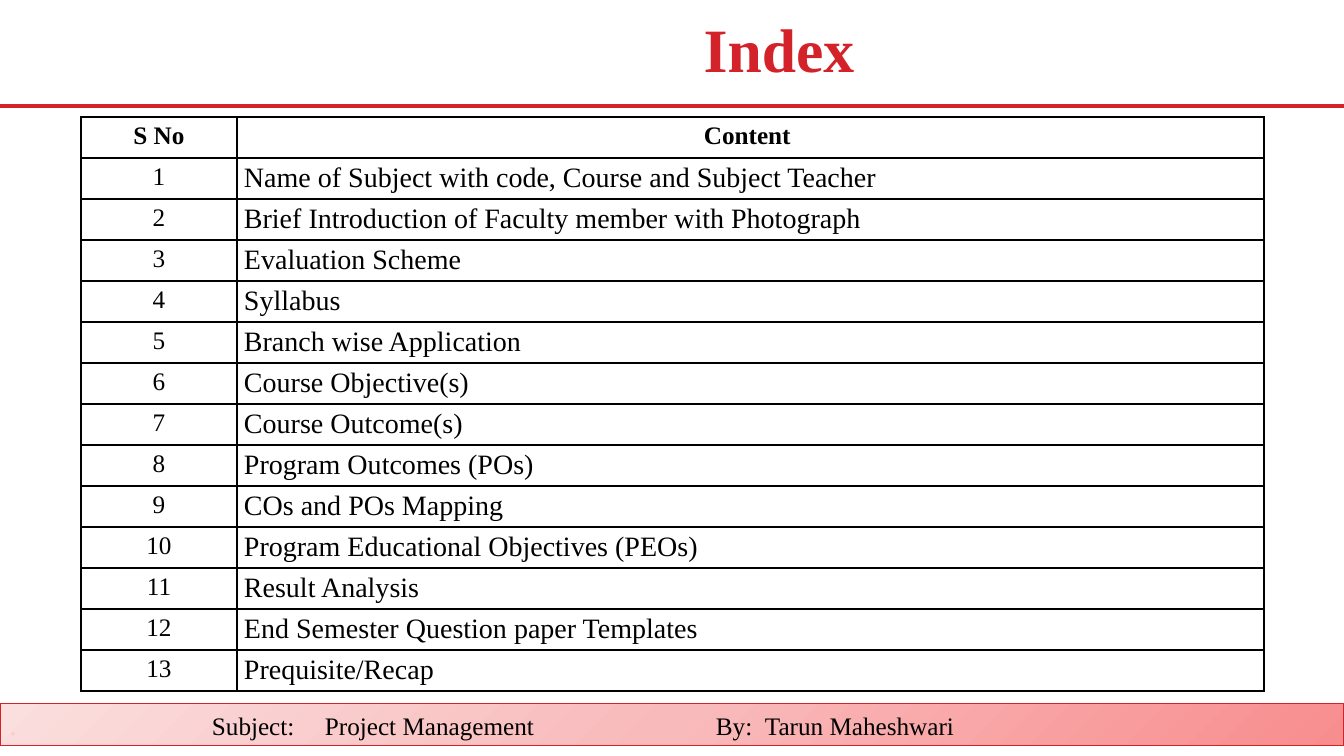
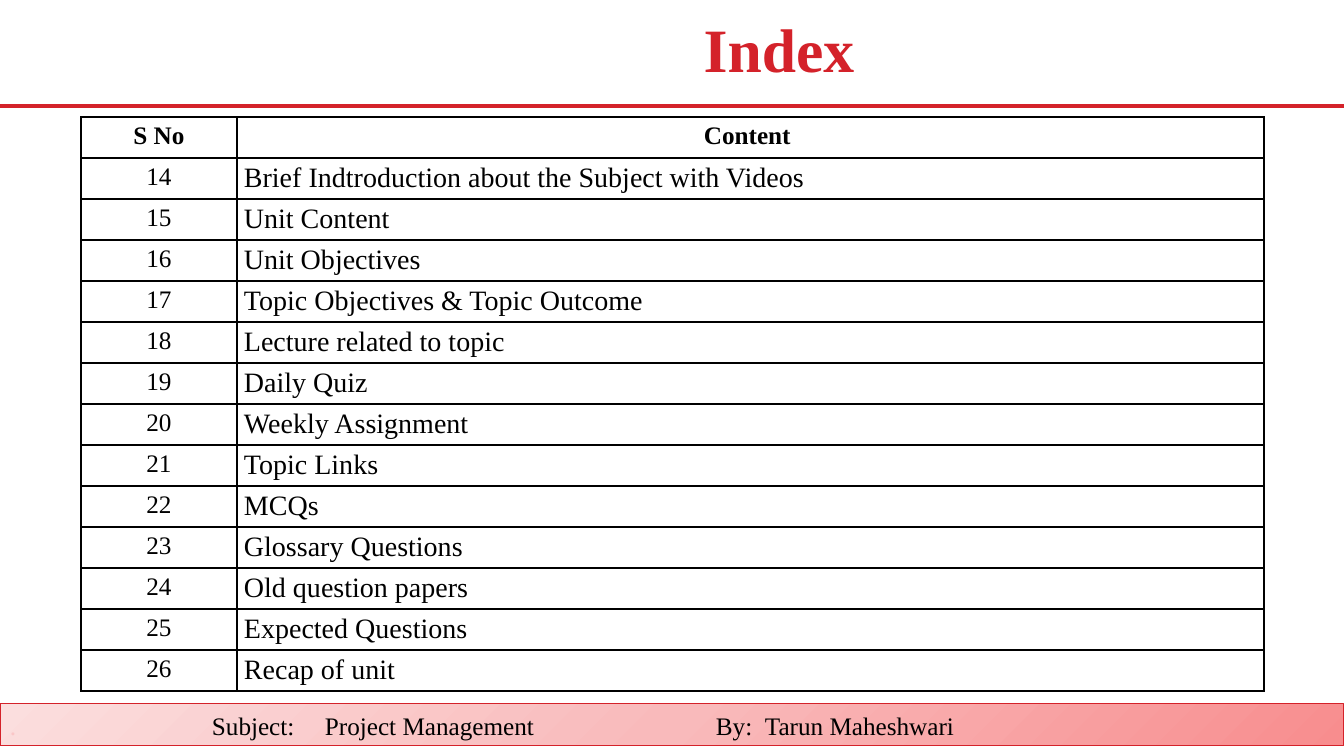
from copy import deepcopy

from lxml.etree import SubElement
from pptx import Presentation
from pptx.dml.color import RGBColor
from pptx.enum.shapes import MSO_CONNECTOR, MSO_SHAPE
from pptx.enum.text import MSO_ANCHOR, PP_ALIGN
from pptx.oxml.ns import qn
from pptx.util import Emu, Pt

COLORS = {
    "red": "D4222A",
    "black": "000000",
    "bar dark": "F88D8E",
    "bar middle": "F9BABB",
    "bar light": "FBDEDE",
    "bar mark": "FAC6C7",
}
FONT = "Times New Roman"
WIDTH, HEIGHT = 1344, 756
ROW_HEIGHT = 41
COLUMN_WIDTHS = [156, 1027]
FOOTER_TABS = [202, 315, 706, 755]

INDEX_PAGES = [
    [
        "Name of Subject with code, Course and Subject Teacher",
        "Brief Introduction of Faculty member with Photograph",
        "Evaluation Scheme",
        "Syllabus",
        "Branch wise Application",
        "Course Objective(s)",
        "Course Outcome(s)",
        "Program Outcomes (POs)",
        "COs and POs Mapping",
        "Program Educational Objectives (PEOs)",
        "Result Analysis",
        "End Semester Question paper Templates",
        "Prequisite/Recap",
    ],
    [
        "Brief Indtroduction about the Subject with Videos",
        "Unit Content",
        "Unit Objectives",
        "Topic Objectives & Topic Outcome",
        "Lecture related to topic",
        "Daily Quiz",
        "Weekly Assignment",
        "Topic Links",
        "MCQs",
        "Glossary Questions",
        "Old question papers",
        "Expected Questions",
        "Recap of unit",
    ],
]


def px(count):
    return Emu(round(count * 9144000 / 1008))


def write(para, text, size=18, color="black", bold=False, align=PP_ALIGN.LEFT):
    para.alignment = align
    span = para.add_run()
    span.text = text
    span.font.name = FONT
    span.font.size = Pt(size)
    span.font.bold = bold
    span.font.color.rgb = RGBColor.from_string(COLORS[color])


deck = Presentation()
deck.slide_width, deck.slide_height = px(WIDTH), px(HEIGHT)

# Shared layout: only the title placeholder stays
layout = deck.slide_layouts[5]
for holder in list(layout.placeholders):
    if holder.placeholder_format.idx:
        holder.element.getparent().remove(holder.element)
    else:
        holder.left, holder.top = px(219), px(10)
        holder.width, holder.height = px(1120), px(85)
pages = [deck.slides.add_slide(layout) for _ in INDEX_PAGES]

# Rule under the title
rule = pages[0].shapes.add_connector(
    MSO_CONNECTOR.STRAIGHT, px(0), px(106), px(WIDTH), px(106))
rule.line.color.rgb = RGBColor.from_string(COLORS["red"])
rule.line.width = Pt(3)
SubElement(rule.element.spPr, qn("a:effectLst"))

# Footer bar with a three-colour gradient
bar = pages[0].shapes.add_shape(
    MSO_SHAPE.RECTANGLE, px(0), px(704), px(WIDTH), px(42))
bar.shadow.inherit = False
bar.line.color.rgb = RGBColor.from_string(COLORS["red"])
bar.line.width = Pt(0.75)
bar.fill.gradient()
bar.fill.gradient_angle = 135
stop_list = bar.element.spPr.find(qn("a:gradFill")).find(qn("a:gsLst"))
stop_list.insert(1, deepcopy(stop_list[0]))
for stop, position, color in zip(
        bar.fill.gradient_stops, [0, 0.5, 1], ["bar dark", "bar middle", "bar light"]):
    stop.position = position
    stop.color.rgb = RGBColor.from_string(COLORS[color])

# Footer text on tab stops
para = bar.text_frame.paragraphs[0]
tab_list = SubElement(para._p.get_or_add_pPr(), qn("a:tabLst"))
for position in FOOTER_TABS:
    SubElement(tab_list, qn("a:tab"), pos=str(px(position)), algn="l")
write(para, ".", color="bar mark")
write(para, "\tSubject:\tProject Management\tBy:\tTarun Maheshwari")

# Rule and bar belong to the layout
for shape in (rule, bar):
    layout.shapes.element.append(shape.element)

# Title and index table of each page
first_number = 1
for page, topics in zip(pages, INDEX_PAGES):
    para = page.shapes.title.text_frame.paragraphs[0]
    para.line_spacing = 0.9
    write(para, "Index", size=44, color="red", bold=True, align=PP_ALIGN.CENTER)

    rows = [("S No", "Content "), *enumerate(topics, first_number)]
    first_number += len(topics)
    table = page.shapes.add_table(
        len(rows), len(COLUMN_WIDTHS), px(81), px(117),
        px(sum(COLUMN_WIDTHS)), px(ROW_HEIGHT * len(rows))).table
    table.first_row = table.horz_banding = False
    for column, width in zip(table.columns, COLUMN_WIDTHS):
        column.width = px(width)

    for row_index, row in enumerate(rows):
        table.rows[row_index].height = px(ROW_HEIGHT)
        for column_index, value in enumerate(row):
            cell = table.cell(row_index, column_index)
            is_header = row_index == 0
            is_topic = column_index == 1 and not is_header
            if is_topic:
                cell.vertical_anchor = MSO_ANCHOR.MIDDLE
                cell.margin_left = cell.margin_right = px(7)
                cell.margin_top = cell.margin_bottom = px(4)
            write(cell.text_frame.paragraphs[0], str(value),
                  size=20 if is_topic else 18, bold=is_header,
                  align=PP_ALIGN.LEFT if is_topic else PP_ALIGN.CENTER)

            # Cell borders come before the fill
            properties = cell._tc.get_or_add_tcPr()
            for side in ("a:lnL", "a:lnR", "a:lnT", "a:lnB"):
                border = SubElement(properties, qn(side), w=str(Pt(1)))
                paint = SubElement(border, qn("a:solidFill"))
                SubElement(paint, qn("a:srgbClr"), val=COLORS["black"])
            cell.fill.background()

deck.save("out.pptx")
